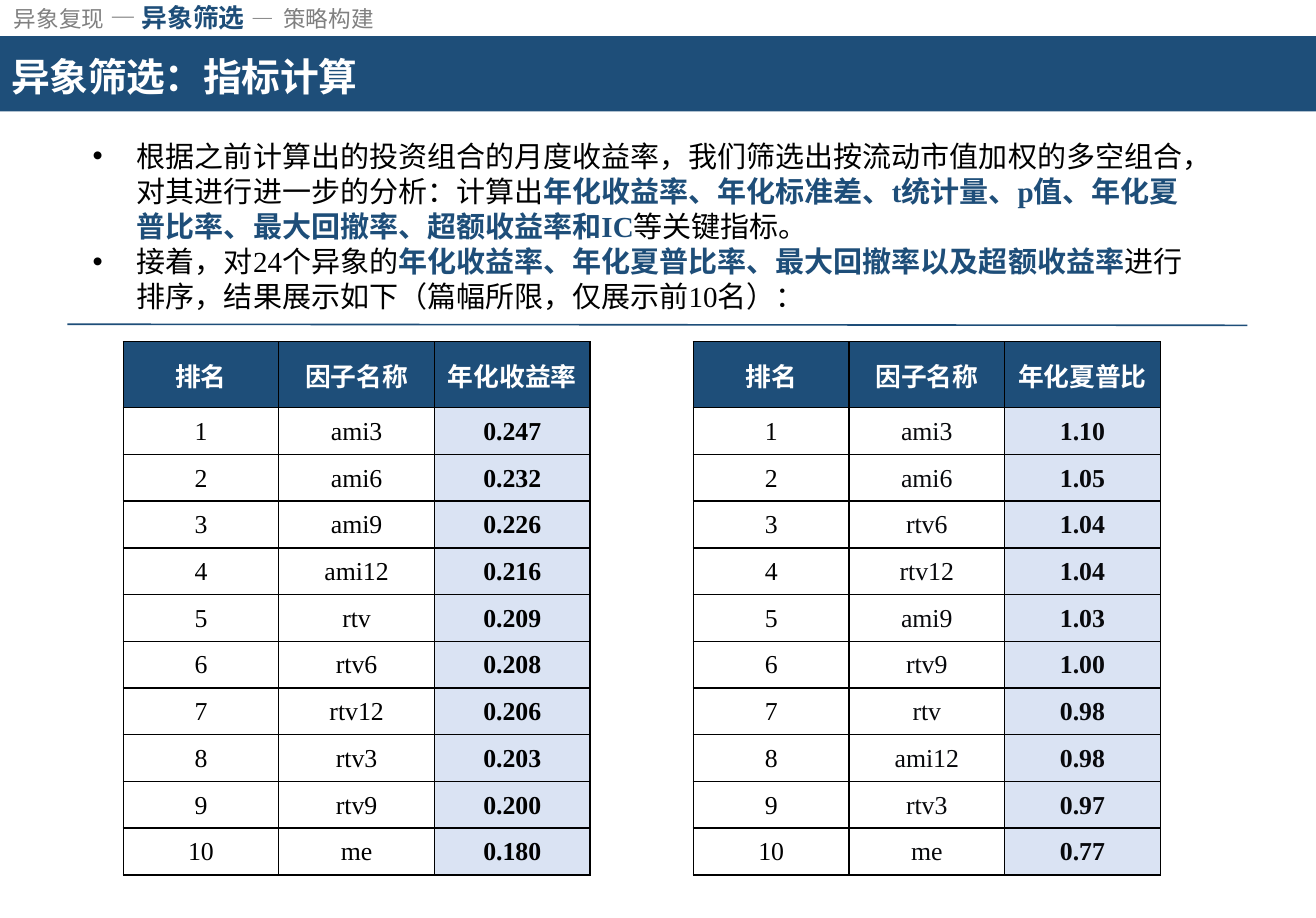
"""Build the slide on factor screening indicators with two ranking tables."""
import pptx
import pptx.dml.color
import pptx.enum.shapes
import pptx.enum.text
import pptx.oxml
import pptx.oxml.ns
import pptx.util

WIDTH, HEIGHT = pptx.util.Inches(11.33), pptx.util.Inches(7.9)
SANS, SERIF = "Noto Sans CJK SC", "Times New Roman"
NAVY, PALE, WHITE, BLACK, GREY = "1E4E79", "DAE3F3", "FFFFFF", "000000", "808080"
NAMESPACE = pptx.oxml.ns.nsdecls("a")
MIDDLE = pptx.enum.text.MSO_ANCHOR.MIDDLE

RETURNS = [
    ("ami3", "0.247"), ("ami6", "0.232"), ("ami9", "0.226"), ("ami12", "0.216"),
    ("rtv", "0.209"), ("rtv6", "0.208"), ("rtv12", "0.206"), ("rtv3", "0.203"),
    ("rtv9", "0.200"), ("me", "0.180"),
]
SHARPES = [
    ("ami3", "1.10"), ("ami6", "1.05"), ("rtv6", "1.04"), ("rtv12", "1.04"),
    ("ami9", "1.03"), ("rtv9", "1.00"), ("rtv", "0.98"), ("ami12", "0.98"),
    ("rtv3", "0.97"), ("me", "0.77"),
]
BULLETS = [
    [("根据之前计算出的投资组合的月度收益率，我们筛选出按流动市值加权的多空组合，"
      "对其进行进一步的分析：计算出", False),
     ("年化收益率、年化标准差、t统计量、p值、年化夏普比率、最大回撤率、超额收益率和IC", True),
     ("等关键指标。", False)],
    [("接着，对24个异象的", False),
     ("年化收益率、年化夏普比率、最大回撤率以及超额收益率", True),
     ("进行排序，结果展示如下（篇幅所限，仅展示前10名）：", False)],
]


def across(percent):
    """Return a horizontal length from a percentage of the slide width."""
    return round(WIDTH * percent / 100)


def down(percent):
    """Return a vertical length from a percentage of the slide height."""
    return round(HEIGHT * percent / 100)


def area(left, top, width, height):
    """Return a position and size from percentages of the slide."""
    return across(left), down(top), across(width), down(height)


def paint(target, colour):
    """Give a fill, line or font colour format a solid hex colour."""
    target.rgb = pptx.dml.color.RGBColor.from_string(colour)


def fill_solid(owner, colour):
    """Fill a shape or cell with one colour."""
    owner.fill.solid()
    paint(owner.fill.fore_color, colour)


def style_span(span, size, colour, bold=False, font=SERIF, spacing=0):
    """Format one run, with its East Asian font and letter spacing."""
    span.font.size = pptx.util.Pt(size)
    span.font.bold = bold
    span.font.name = font
    paint(span.font.color, colour)
    properties = span.font._element
    latin = properties.find(pptx.oxml.ns.qn("a:latin"))
    latin.addnext(pptx.oxml.parse_xml(f'<a:ea {NAMESPACE} typeface="{SANS}"/>'))
    if spacing:
        properties.set("spc", str(round(spacing * 100)))


def add_span(para, text, *style, **options):
    """Append a formatted run to a paragraph."""
    span = para.add_run()
    span.text = text
    style_span(span, *style, **options)


def add_box(page, place, anchor=MIDDLE):
    """Add a wrapping text box and return its text frame."""
    frame = page.shapes.add_textbox(*area(*place)).text_frame
    frame.word_wrap = True
    frame.vertical_anchor = anchor
    return frame


def add_breadcrumb(page):
    """Add the section trail with the current section highlighted."""
    frame = add_box(page, (1.06, 0, 90.2, 3.8))
    frame.margin_left = frame.margin_top = frame.margin_right = frame.margin_bottom = 0
    para = frame.paragraphs[0]
    add_span(para, "异象复现", 14, GREY, font=SANS)
    add_span(para, " — ", 16, GREY, font=SANS)
    add_span(para, "异象筛选", 16, NAVY, True, font=SANS)
    add_span(para, " — ", 14, GREY, font=SANS, spacing=1.2)
    add_span(para, "策略构建", 14, GREY, font=SANS)


def add_title(page, text):
    """Add the title on its full-width bar."""
    bar = page.shapes.add_shape(
        pptx.enum.shapes.MSO_SHAPE.RECTANGLE, *area(0, 3.92, 100, 8.23))
    bar.shadow.inherit = False
    fill_solid(bar, NAVY)
    bar.line.fill.background()
    frame = add_box(page, (0, 4.56, 86.67, 7.34))
    add_span(frame.paragraphs[0], text, 24, WHITE, True, font=SANS, spacing=-0.2)


def add_bullets(page, bullets):
    """Add the bulleted explanation with its key terms emphasised."""
    frame = add_box(page, (6.18, 14.43, 85.88, 16.08), pptx.enum.text.MSO_ANCHOR.TOP)
    for index, pieces in enumerate(bullets):
        para = frame.add_paragraph() if index else frame.paragraphs[0]
        para.line_spacing = pptx.util.Pt(21.7)
        indent = pptx.util.Inches(0.38)
        properties = para._p.get_or_add_pPr()
        properties.set("marL", str(indent))
        properties.set("indent", str(-indent))
        properties.append(pptx.oxml.parse_xml(f'<a:buFont {NAMESPACE} typeface="Arial"/>'))
        properties.append(pptx.oxml.parse_xml(f'<a:buChar {NAMESPACE} char="•"/>'))
        for text, key in pieces:
            add_span(para, text, 18, NAVY if key else BLACK, key)


def add_divider(page):
    """Add the thin line between explanation and tables."""
    line = page.shapes.add_connector(
        pptx.enum.shapes.MSO_CONNECTOR.STRAIGHT,
        across(5.12), down(35.32), across(94.79), down(35.44))
    paint(line.line.color, NAVY)
    line.line.width = pptx.util.Pt(1)
    line._element.spPr.append(pptx.oxml.parse_xml(f"<a:effectLst {NAMESPACE}/>"))


def style_cell(cell, text, fill, colour, bold):
    """Write one centred table cell with fill and black borders."""
    cell.margin_left = cell.margin_right = cell.margin_top = pptx.util.Inches(0.01)
    cell.margin_bottom = 0
    cell.vertical_anchor = MIDDLE
    cell.text_frame.text = text
    para = cell.text_frame.paragraphs[0]
    para.alignment = pptx.enum.text.PP_ALIGN.CENTER
    style_span(para.runs[0], 16, colour, bold)
    fill_solid(cell, fill)
    properties = cell._tc.get_or_add_tcPr()
    for index, side in enumerate(("lnL", "lnR", "lnT", "lnB")):
        properties.insert(index, pptx.oxml.parse_xml(
            f'<a:{side} {NAMESPACE} w="12700"><a:solidFill>'
            f'<a:srgbClr val="{BLACK}"/></a:solidFill></a:{side}>'))


def add_ranking(page, left, measure, ranking, ink):
    """Add a table that ranks factors by one measure."""
    rows = [("排名", "因子名称", measure)]
    rows += [(str(rank), *entry) for rank, entry in enumerate(ranking, 1)]
    table = page.shapes.add_table(
        len(rows), len(rows[0]), *area(left, 37.22, 35.48, 58.1)).table
    table.horz_banding = False
    for column in table.columns:
        column.width = across(35.48 / len(rows[0]))
    for index, values in enumerate(rows):
        table.rows[index].height = down(5.09 if index else 7.2)
        looks = [(WHITE, BLACK, False), (WHITE, ink, False), (PALE, ink, True)]
        if index == 0:
            looks = [(NAVY, WHITE, True)] * len(values)
        for column, (text, look) in enumerate(zip(values, looks)):
            style_cell(table.cell(index, column), text, *look)


def main():
    """Build and save the deck."""
    deck = pptx.Presentation()
    deck.slide_width, deck.slide_height = WIDTH, HEIGHT
    page = deck.slides.add_slide(deck.slide_layouts[6])
    add_title(page, "异象筛选：指标计算")
    add_breadcrumb(page)
    add_divider(page)
    add_bullets(page, BULLETS)
    add_ranking(page, 9.36, "年化收益率", RETURNS, BLACK)
    add_ranking(page, 52.69, "年化夏普比", SHARPES, "08090C")
    deck.save("out.pptx")


if __name__ == "__main__":
    main()
